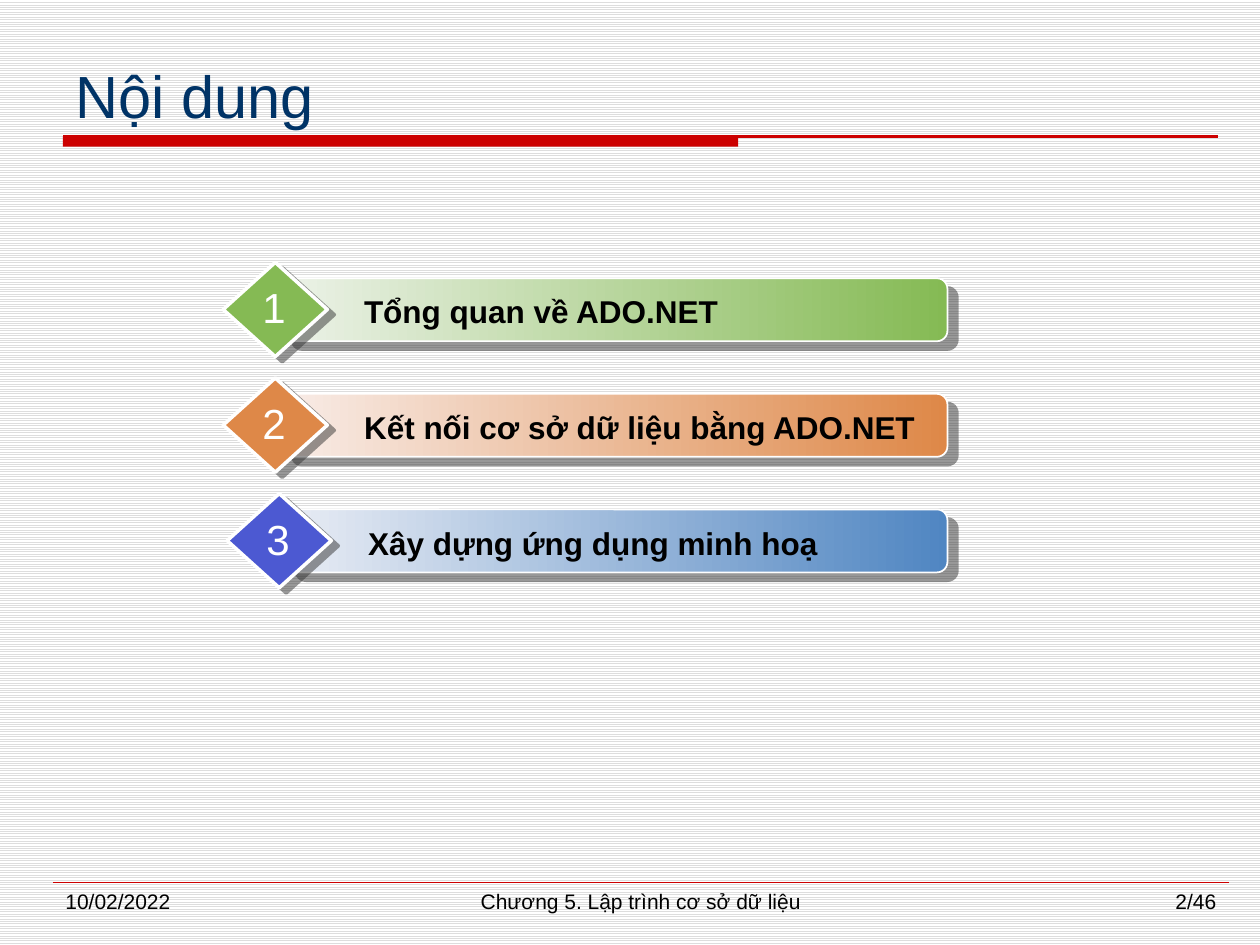
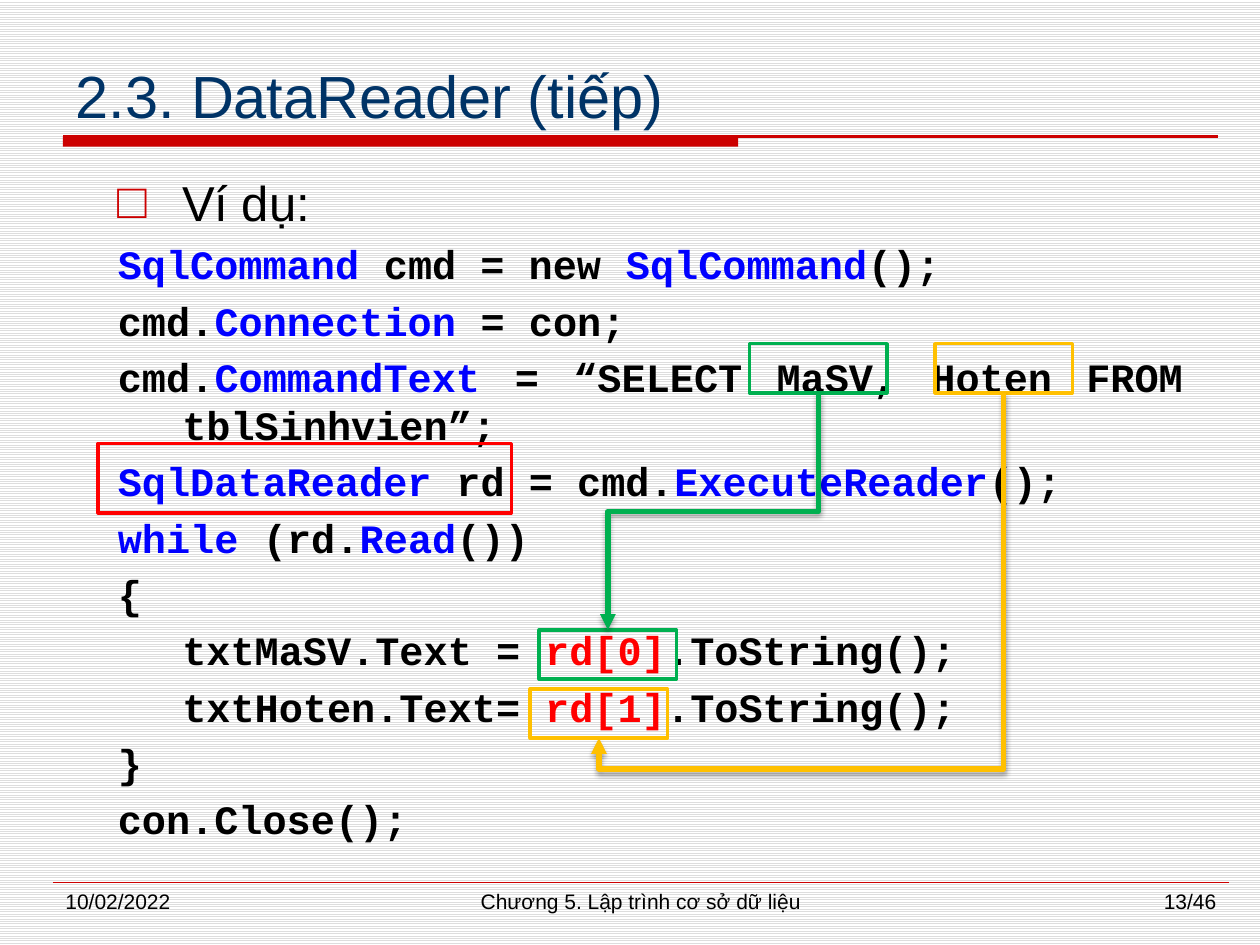
from dataclasses import dataclass

from lxml.etree import SubElement
from pptx import Presentation
from pptx.dml.color import RGBColor
from pptx.enum.dml import MSO_PATTERN
from pptx.enum.shapes import MSO_CONNECTOR, MSO_SHAPE
from pptx.enum.text import MSO_ANCHOR, MSO_AUTO_SIZE, PP_ALIGN
from pptx.oxml.ns import qn
from pptx.util import Cm, Pt


@dataclass(frozen=True)
class Theme:
    """Colours, fonts and type sizes of the deck."""
    sans: str = "Arial"
    mono: str = "Courier New"
    navy: str = "003366"
    crimson: str = "CC0000"
    black: str = "000000"
    white: str = "FFFFFF"
    stripe: str = "DDDDDD"
    shade: str = "333333"
    blue: str = "0000FF"
    red: str = "FF0000"
    green: str = "00B050"
    amber: str = "FFC000"
    title: float = 34
    lead: float = 28
    number: float = 24
    code: float = 23
    item: float = 18
    footer: float = 12


T = Theme()
DATE = "10/02/2022"
CHAPTER = "Chương 5. Lập trình cơ sở dữ liệu"
TOTAL = 46
TOPICS = [
    ("Tổng quan về ADO.NET", "ECF2E8", "85BA54", "85BA54", 0),
    ("Kết nối cơ sở dữ liệu bằng ADO.NET", "F8ECE7", "DE8848", "DE8848", 0),
    ("Xây dựng ứng dụng minh hoạ", "E8ECF4", "5086C2", "4C59D2", 0.08),
]
K, B, R = T.black, T.blue, T.red
CODE = [
    [("SqlCommand", B), (" cmd = new ", K), ("SqlCommand", B), ("();", K)],
    [("cmd.", K), ("Connection", B), (" = con;", K)],
    [("cmd.", K), ("CommandText", B),
     (" = “SELECT MaSV, Hoten FROM tblSinhvien”;", K)],
    [("SqlDataReader", B), (" rd = cmd.", K), ("ExecuteReader", B), ("();", K)],
    [("while", B), (" (rd.", K), ("Read", B), ("())", K)],
    [("{", K)],
    [("\ttxtMaSV.Text = ", K), ("rd[0]", R), (".ToString();", K)],
    [("\ttxtHoten.Text= ", K), ("rd[1]", R), (".ToString();", K)],
    [("}", K)],
    [("con.Close();", K)],
]


def rgb(value):
    """Turn a hex string into a colour."""
    return RGBColor.from_string(value)


def cms(*values):
    """Turn numbers into centimetre lengths."""
    return [Cm(v) for v in values]


def add_run(p, text, size, color, font=T.sans, bold=False):
    """Append one formatted run to a paragraph."""
    r = p.add_run()
    r.text = text
    r.font.name, r.font.size, r.font.bold = font, Pt(size), bold
    r.font.color.rgb = rgb(color)


def add_label(shapes, box, text, size, color=T.black, align=PP_ALIGN.LEFT,
              bold=False, wrap=True):
    """Add a one-line text box."""
    tf = shapes.add_textbox(*cms(*box)).text_frame
    tf.word_wrap = wrap
    p = tf.paragraphs[0]
    p.alignment = align
    add_run(p, text, size, color, bold=bold)


def add_shadow(effects, color, alpha, blur, dist, angle):
    """Put an outer shadow into an effect list."""
    shadow = SubElement(effects, qn("a:outerShdw"), blurRad=str(Pt(blur)),
                        dist=str(Pt(dist)), dir=str(angle * 60000),
                        algn="ctr", rotWithShape="0")
    clr = SubElement(shadow, qn("a:srgbClr"), val=color)
    SubElement(clr, qn("a:alpha"), val=str(alpha * 1000))


def add_preset(shapes, kind, box, line, width):
    """Add an outlined preset shape without shadow."""
    sp = shapes.add_shape(kind, *cms(*box))
    sp.shadow.inherit = False
    sp.fill.background()
    sp.line.color.rgb = rgb(line)
    sp.line.width = Pt(width)
    return sp


def add_line(slide, kind, start, end, color, width):
    """Add a connector and return it with its empty effect list."""
    cx = slide.shapes.add_connector(kind, *cms(*start, *end))
    cx.line.color.rgb = rgb(color)
    cx.line.width = Pt(width)
    spPr = cx._element.spPr
    return cx, SubElement(spPr, qn("a:effectLst"))


def add_frame(prs, layout, title, number):
    """Start a slide with background, title, red band and footer."""
    slide = prs.slides.add_slide(prs.slide_layouts[layout])
    fill = slide.background.fill
    fill.patterned()
    fill.pattern = MSO_PATTERN.LIGHT_HORIZONTAL
    fill.fore_color.rgb, fill.back_color.rgb = rgb(T.stripe), rgb(T.white)

    left, top, width = 1.27, 2.75, 23.29
    ph = slide.shapes.title
    ph.left, ph.top, ph.width, ph.height = cms(left, top - 1.9, width, 1.9)
    tf = ph.text_frame
    tf.auto_size = MSO_AUTO_SIZE.NONE
    tf.vertical_anchor = MSO_ANCHOR.BOTTOM
    p = tf.paragraphs[0]
    p.alignment = PP_ALIGN.LEFT
    add_run(p, title, T.title, T.navy)

    band = add_preset(slide.shapes, MSO_SHAPE.RECTANGLE,
                      (left, top, 13.61, 0.21), T.crimson, 1)
    band.fill.solid()
    band.fill.fore_color.rgb = rgb(T.crimson)
    band.line.fill.background()
    add_line(slide, MSO_CONNECTOR.STRAIGHT, (left, top), (left + width, top),
             T.crimson, 1.5)
    add_footer(slide, (1.07, 17.78, 23.7, 0.9), number)
    return slide


def add_footer(slide, box, number):
    """Place the hairline, date, chapter and page number in the box."""
    x, y, w, h = box
    side, middle = 5.5, 11
    add_line(slide, MSO_CONNECTOR.STRAIGHT, (x, y), (x + w, y), T.crimson, 0.25)
    for text, left, width, align in (
            (DATE, x, side, PP_ALIGN.LEFT),
            (CHAPTER, x + (w - middle) / 2, middle, PP_ALIGN.CENTER),
            (f"{number}/{TOTAL}", x + w - side, side, PP_ALIGN.RIGHT)):
        add_label(slide.shapes, (left, y, width, h), text, T.footer, align=align)


def add_topic(slide, box, number, text, pale, deep, gem):
    """Draw one agenda row: gradient bar, numbered diamond and label."""
    x, y, w, h = box
    shapes = slide.shapes.add_group_shape().shapes
    bar = add_preset(shapes, MSO_SHAPE.ROUNDED_RECTANGLE,
                     (x + 1.17, y + 0.32, w - 1.17, 1.27), T.white, 1)
    bar.fill.gradient()
    bar.fill.gradient_angle = 0
    for stop, color in zip(bar.fill.gradient_stops, (pale, deep)):
        stop.color.rgb = rgb(color)
    diamond = add_preset(shapes, MSO_SHAPE.DIAMOND, (x, y, 2.1, h), T.white, 2)
    diamond.fill.solid()
    diamond.fill.fore_color.rgb = rgb(gem)
    for sp, dist, angle in ((bar, 7.8, 40), (diamond, 5, 37)):
        effects = sp._element.spPr.find(qn("a:effectLst"))
        add_shadow(effects, T.shade, 50, 0, dist, angle)
    add_label(shapes, (x + 2.59, y + 0.48, w - 2.59, 1.02), text, T.item, bold=True)
    add_label(shapes, (x + 0.48, y + 0.27, 1.09, 1.27), str(number), T.number,
              T.white, PP_ALIGN.CENTER, wrap=False)


def add_agenda(slide, box):
    """Stack the agenda rows at an equal pitch in the box."""
    x, y, w, pitch = box
    for i, (text, pale, deep, gem, shift) in enumerate(TOPICS):
        add_topic(slide, (x + shift, y + i * pitch, w - shift, 1.9),
                  i + 1, text, pale, deep, gem)


def add_listing(slide, box):
    """Fill the body placeholder with the lead bullet and the code."""
    ph = slide.placeholders[1]
    ph.left, ph.top, ph.width, ph.height = cms(*box)
    tf = ph.text_frame
    tf.auto_size = MSO_AUTO_SIZE.NONE
    tf.margin_top = Cm(0.3)
    for i, parts in enumerate([[("Ví dụ:", K)]] + CODE):
        p = tf.add_paragraph() if i else tf.paragraphs[0]
        p.alignment = PP_ALIGN.JUSTIFY
        p.space_before = Pt(4.6 if i else 0)
        pPr = p._p.get_or_add_pPr()
        pPr.set("marL", str(Cm(1.3)))
        pPr.set("indent", str(Cm(-1.3)))
        if i:
            SubElement(pPr, qn("a:buNone"))
        else:
            clr = SubElement(pPr, qn("a:buClr"))
            SubElement(clr, qn("a:srgbClr"), val=T.crimson)
            SubElement(pPr, qn("a:buFont"), typeface=T.sans)
            SubElement(pPr, qn("a:buChar"), char="□")
        for text, color in parts:
            if i:
                add_run(p, text, T.code, color, T.mono, True)
            else:
                add_run(p, text, T.lead, color)


def add_link(slide, start, end, color, bend):
    """Add a vertical elbow with its arrowhead at the lower start point."""
    (x1, y1), (x2, y2) = start, end
    cx, effects = add_line(slide, MSO_CONNECTOR.ELBOW, start, end, color, 3)
    across, rise = x2 - x1, y1 - y2
    cx.left, cx.top, cx.width, cx.height = cms(
        (x1 + x2 - rise) / 2, (y1 + y2 - across) / 2, rise, across)
    spPr = cx._element.spPr
    xfrm = spPr.find(qn("a:xfrm"))
    for key, value in (("rot", "5400000"), ("flipH", "1"), ("flipV", "1")):
        xfrm.set(key, value)
    guides = spPr.find(qn("a:prstGeom")).find(qn("a:avLst"))
    SubElement(guides, qn("a:gd"), name="adj1", fmla=f"val {round(bend * 100000)}")
    SubElement(spPr.find(qn("a:ln")), qn("a:headEnd"), type="triangle")
    add_shadow(effects, T.black, 35, 3.1, 1.8, 90)


def add_callouts(slide, box):
    """Frame the columns and reader cells and link each pair."""
    x, y, w, h = box
    pairs = [((13.13, 0), (8.89, 5.77), T.green, 0, 0.5),
             ((16.87, 0), (8.71, 6.96), T.amber, h, -0.09)]
    for column, cell, color, drop, bend in pairs:
        for dx, dy in (cell, column):
            add_preset(slide.shapes, MSO_SHAPE.RECTANGLE,
                       (x + dx, y + dy, w, h), color, 2)
        add_link(slide, (x + cell[0] + w / 2, y + cell[1] + drop),
                 (x + column[0] + w / 2, y + h), color, bend)
    add_preset(slide.shapes, MSO_SHAPE.RECTANGLE, (x, y + 2.01, 8.33, 1.4), T.red, 2)


def main():
    """Build and save the deck."""
    prs = Presentation()
    prs.slide_width, prs.slide_height = cms(25.4, 19.05)
    agenda = add_frame(prs, 5, "Nội dung", 2)
    add_agenda(agenda, (4.5, 5.29, 14.6, 2.33))
    reader = add_frame(prs, 1, "2.3. DataReader (tiếp)", 13)
    add_listing(reader, (2.12, 3.18, 22.01, 14.4))
    add_callouts(reader, (1.98, 6.93, 2.77, 0.99))
    prs.save("out.pptx")


if __name__ == "__main__":
    main()
